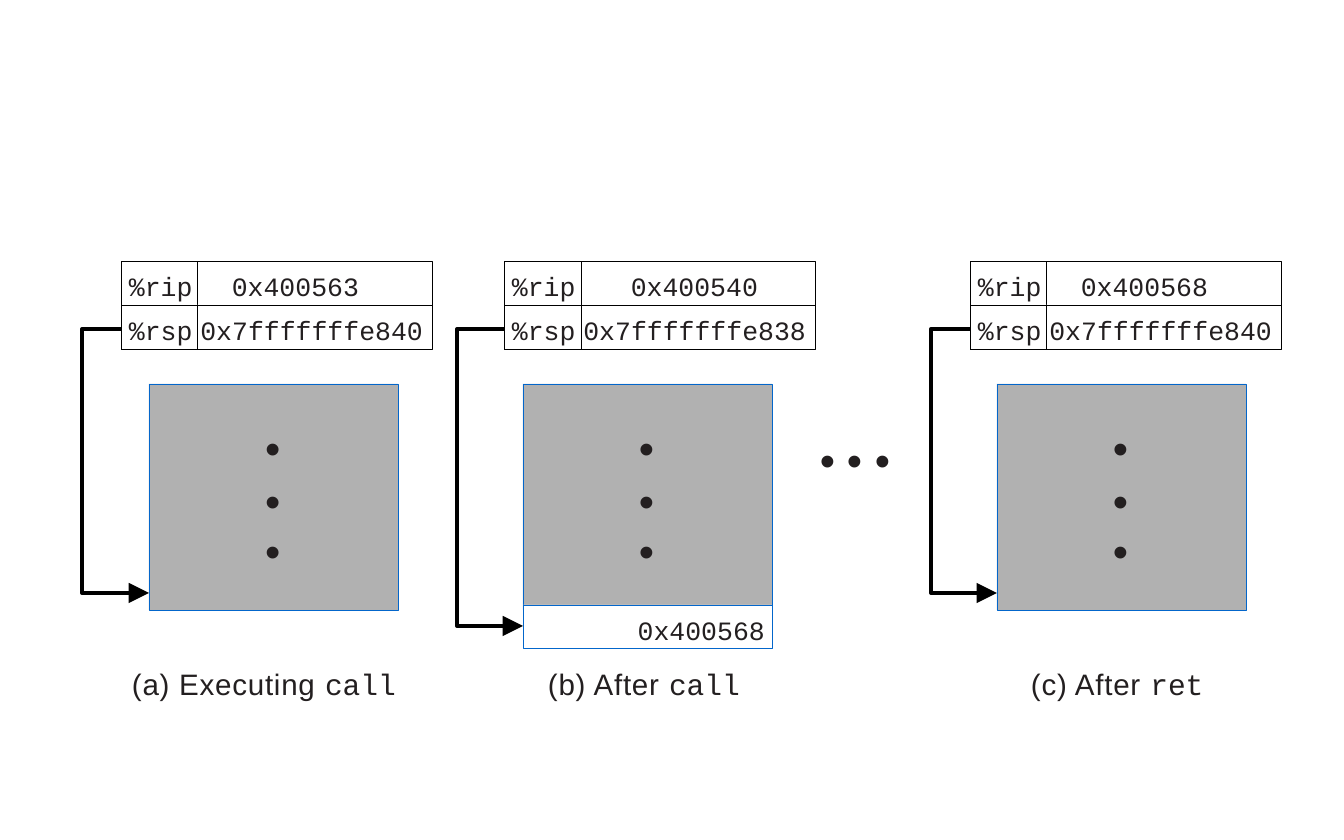
from dataclasses import dataclass

from lxml import etree
from pptx import Presentation
from pptx import util as u
from pptx.dml.color import RGBColor
from pptx.enum import shapes, text
from pptx.oxml.ns import qn

PX = 914400 // 112


@dataclass(frozen=True)
class Theme:
    ink: str = "231F20"
    black: str = "000000"
    white: str = "FFFFFF"
    gray: str = "B1B1B1"
    blue: str = "0366CB"
    sans: str = "Arial"
    mono: str = "Courier New"
    code_size: int = 17
    caption_size: int = 19
    dot_size: int = 28
    hairline: float = 0.5
    arrow_width: float = 2.6


@dataclass(frozen=True)
class Panel:
    register_x: int
    stack_x: int
    arrow_x: int
    arrow_y: int
    rip: str
    rip_indent: int
    rsp: str
    caption_x: int
    caption: str
    instruction: str
    return_address: str = ""


T = Theme()
REGISTER_Y, ROW_H, LABEL_W, VALUE_W = 261, 44, 77, 234
STACK_Y, STACK_W, STACK_H = 384, 249, 226
SLOT_Y = 605
CAPTION_Y = 666
CODE_TOP = 9
DOT_X, DOT_YS = 116, (421, 474, 524)
PANELS = [
    Panel(121, 149, 82, 593, "0x400563", 64, "0x7fffffffe840",
          132, "(a) Executing ", "call"),
    Panel(504, 523, 457, 626, "0x400540", 48, "0x7fffffffe838",
          548, "(b) After ", "call", "0x400568"),
    Panel(970, 997, 931, 593, "0x400568", 64, "0x7fffffffe840",
          1031, "(c) After ", "ret"),
]


def add_run(p, content: str, *, font: str, size: int, spacing: int = 0) -> None:
    r = p.add_run()
    r.text = content
    r.font.name = font
    r.font.size = u.Pt(size)
    r.font.color.rgb = RGBColor.from_string(T.ink)
    if spacing:
        r.font._element.set("spc", str(spacing))


def set_frame(tf, left: int = 0, top: int = 0, right: int = 0, wrap: bool = False) -> None:
    tf.margin_left, tf.margin_top, tf.margin_right = left * PX, top * PX, right * PX
    tf.margin_bottom = 0
    tf.vertical_anchor = text.MSO_ANCHOR.TOP
    tf.word_wrap = wrap


def set_line(sp, color: str) -> None:
    sp.shadow.inherit = False
    sp.line.color.rgb = RGBColor.from_string(color)
    sp.line.width = u.Pt(T.hairline)


def add_box(s, x: int, y: int, w: int, h: int, *, fill: str, line: str):
    sp = s.shapes.add_shape(shapes.MSO_SHAPE.RECTANGLE, x * PX, y * PX, w * PX, h * PX)
    sp.fill.solid()
    sp.fill.fore_color.rgb = RGBColor.from_string(fill)
    set_line(sp, line)
    return sp


def add_code(tf, content: str, *, left: int = 0, right: int = 0) -> None:
    set_frame(tf, left, CODE_TOP, right, wrap=bool(right))
    p = tf.paragraphs[0]
    p.alignment = text.PP_ALIGN.RIGHT if right else text.PP_ALIGN.LEFT
    add_run(p, content, font=T.mono, size=T.code_size)


def add_textbox(s, x: int, y: int, w: int, h: int):
    tf = s.shapes.add_textbox(x * PX, y * PX, w * PX, h * PX).text_frame
    set_frame(tf)
    return tf


def add_dot(s, x: int, y: int) -> None:
    p = add_textbox(s, x, y, 16, 50).paragraphs[0]
    add_run(p, "•", font=T.sans, size=T.dot_size)


def add_row_outlines(s, x: int) -> None:
    right = x + LABEL_W + VALUE_W
    builder = s.shapes.build_freeform(x, REGISTER_Y, scale=PX)
    for i in range(2):
        top = REGISTER_Y + i * ROW_H
        if i:
            builder.move_to(x, top)
        builder.add_line_segments(
            [(x, top + ROW_H), (right, top + ROW_H), (right, top)], close=True)
    sp = builder.convert_to_shape()
    sp.fill.background()
    set_line(sp, T.black)


def add_registers(s, panel: Panel) -> None:
    x = panel.register_x
    rows = [("%rip", panel.rip, panel.rip_indent), ("%rsp", panel.rsp, 0)]
    for i, (label, value, indent) in enumerate(rows):
        y = REGISTER_Y + i * ROW_H
        add_code(add_textbox(s, x + LABEL_W, y, VALUE_W, ROW_H), value, right=9 + indent)
        cell = add_box(s, x, y, LABEL_W, ROW_H, fill=T.white, line=T.black)
        add_code(cell.text_frame, label, left=8)
    add_row_outlines(s, x)


def add_arrow(s, x1: int, y1: int, x2: int, y2: int, bend_x: int) -> None:
    c = s.shapes.add_connector(shapes.MSO_CONNECTOR.ELBOW, x1 * PX, y1 * PX, x2 * PX, y2 * PX)
    c.line.color.rgb = RGBColor.from_string(T.black)
    c.line.width = u.Pt(T.arrow_width)
    etree.SubElement(c.line._get_or_add_ln(), qn("a:tailEnd"), type="triangle", w="lg", len="lg")
    properties = c._element.spPr
    etree.SubElement(properties, qn("a:effectLst"))
    bend = round(100000 * (bend_x - x1) / (x2 - x1))
    guides = properties.find(qn("a:prstGeom")).find(qn("a:avLst"))
    etree.SubElement(guides, qn("a:gd"), name="adj1", fmla=f"val {bend}")


def draw_panel(s, panel: Panel) -> None:
    add_box(s, panel.stack_x, STACK_Y, STACK_W, STACK_H, fill=T.gray, line=T.blue)
    for y in DOT_YS:
        add_dot(s, panel.stack_x + DOT_X, y)
    if panel.return_address:
        slot = add_box(s, panel.stack_x, SLOT_Y, STACK_W, ROW_H, fill=T.white, line=T.blue)
        add_code(slot.text_frame, panel.return_address, right=7)

    add_registers(s, panel)
    add_arrow(s, panel.register_x, REGISTER_Y + ROW_H * 3 // 2 + 2,
              panel.stack_x, panel.arrow_y, panel.arrow_x)

    p = add_textbox(s, panel.caption_x, CAPTION_Y, 270, 36).paragraphs[0]
    add_run(p, panel.caption, font=T.sans, size=T.caption_size, spacing=50)
    add_run(p, panel.instruction, font=T.mono, size=T.caption_size)


def main() -> None:
    prs = Presentation()
    prs.slide_width, prs.slide_height = u.Inches(12), u.Inches(7.5)
    s = prs.slides.add_slide(prs.slide_layouts[6])
    for panel in PANELS:
        draw_panel(s, panel)
    for x in (820, 847, 875):
        add_dot(s, x, 433)
    prs.save("out.pptx")


if __name__ == "__main__":
    main()
